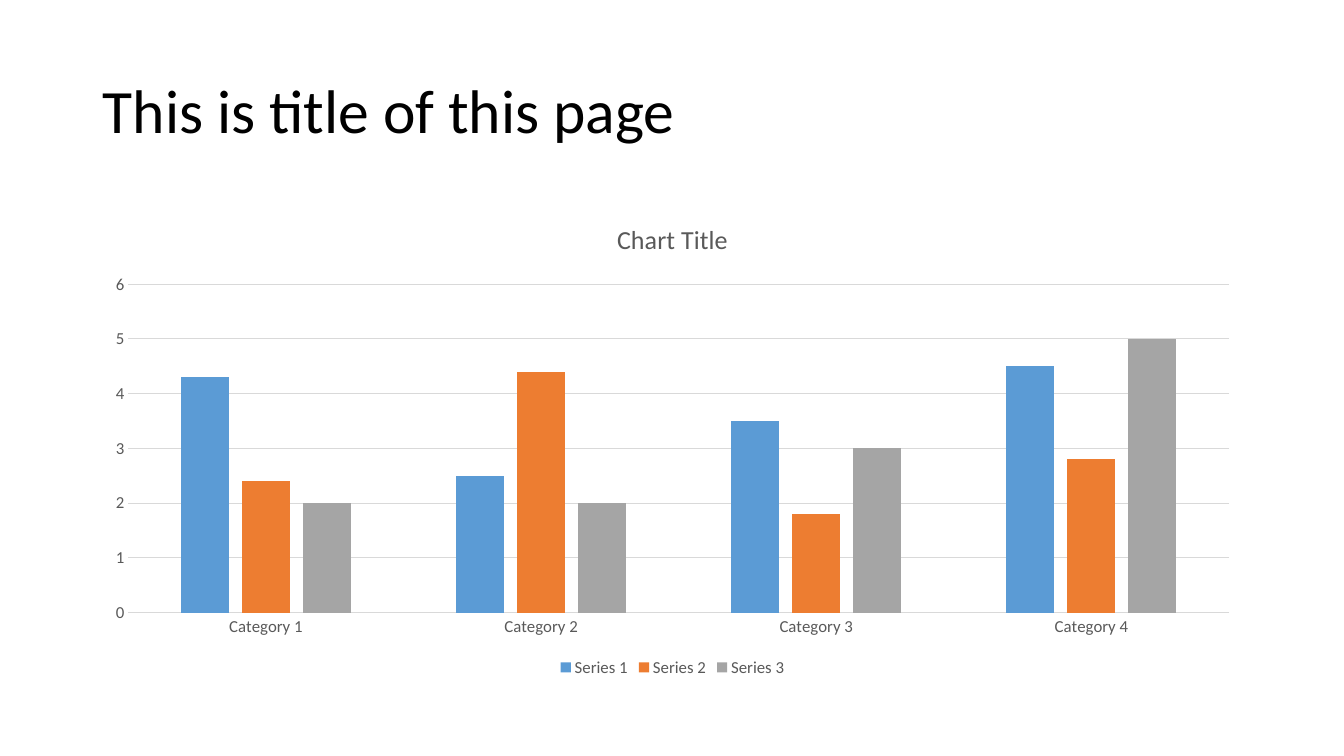
import pptx
import pptx.chart.data
import pptx.dml.color
import pptx.enum.chart
import pptx.enum.text
import pptx.util
from pptx.util import Inches

TITLE = "This is title of this page"
CHART_TITLE = "Chart Title"
CATEGORIES = ["Category 1", "Category 2", "Category 3", "Category 4"]
SERIES = [
    ("Series 1", (4.3, 2.5, 3.5, 4.5), "5B9BD5"),
    ("Series 2", (2.4, 4.4, 1.8, 2.8), "ED7D31"),
    ("Series 3", (2, 2, 3, 5), "A5A5A5"),
]
FONT = "Calibri"
BLACK, GREY, LINE_GREY = "000000", "595959", "D9D9D9"
LEFT, WIDTH = Inches(0.92), Inches(11.5)


def rgb(code):
    return pptx.dml.color.RGBColor.from_string(code)


def style_font(font, size, color):
    font.name = FONT
    font.size = pptx.util.Pt(size)
    font.bold = False
    font.color.rgb = rgb(color)


def write_text(frame, text, size=12, color=GREY, align=None, spacing=None):
    para = frame.paragraphs[0]
    para.alignment = align
    para.line_spacing = spacing
    span = para.add_run()
    span.text = text
    style_font(span.font, size, color)


def style_line(line):
    line.color.rgb = rgb(LINE_GREY)
    line.width = pptx.util.Pt(0.75)


def add_title(page):
    box = page.shapes.title
    box.left, box.top, box.width, box.height = LEFT, Inches(0.4), WIDTH, Inches(1.45)
    box.text_frame.vertical_anchor = pptx.enum.text.MSO_ANCHOR.MIDDLE
    write_text(box.text_frame, TITLE, size=44, color=BLACK,
               align=pptx.enum.text.PP_ALIGN.LEFT, spacing=0.9)


def add_column_chart(page):
    data = pptx.chart.data.CategoryChartData()
    data.categories = CATEGORIES
    for name, values, _ in SERIES:
        data.add_series(name, values)
    chart = page.shapes.add_chart(
        pptx.enum.chart.XL_CHART_TYPE.COLUMN_CLUSTERED,
        LEFT, Inches(2), WIDTH, Inches(4.76), data).chart
    style_font(chart.font, 10, BLACK)

    # Chart title and legend
    chart.has_title = True
    write_text(chart.chart_title.text_frame, CHART_TITLE, size=18.6)
    chart.chart_title.include_in_layout = False
    chart.has_legend = True
    chart.legend.position = pptx.enum.chart.XL_LEGEND_POSITION.BOTTOM
    chart.legend.include_in_layout = False
    style_font(chart.legend.font, 12, GREY)

    # Columns
    plot = chart.plots[0]
    plot.vary_by_categories = False
    plot.gap_width, plot.overlap = 219, -27
    for series, (_, _, color) in zip(plot.series, SERIES):
        series.format.fill.solid()
        series.format.fill.fore_color.rgb = rgb(color)

    # Axes and gridlines
    for axis in (chart.category_axis, chart.value_axis):
        axis.major_tick_mark = pptx.enum.chart.XL_TICK_MARK.NONE
        axis.minor_tick_mark = pptx.enum.chart.XL_TICK_MARK.NONE
        style_font(axis.tick_labels.font, 12, GREY)
    style_line(chart.category_axis.format.line)
    values_axis = chart.value_axis
    values_axis.minimum_scale, values_axis.maximum_scale = 0, 6
    values_axis.major_unit = 1
    values_axis.format.line.fill.background()
    values_axis.has_major_gridlines = True
    style_line(values_axis.major_gridlines.format.line)


def main():
    deck = pptx.Presentation()
    deck.slide_width, deck.slide_height = Inches(13.33), Inches(7.5)
    page = deck.slides.add_slide(deck.slide_layouts[5])
    add_title(page)
    add_column_chart(page)
    deck.save("out.pptx")


if __name__ == "__main__":
    main()
